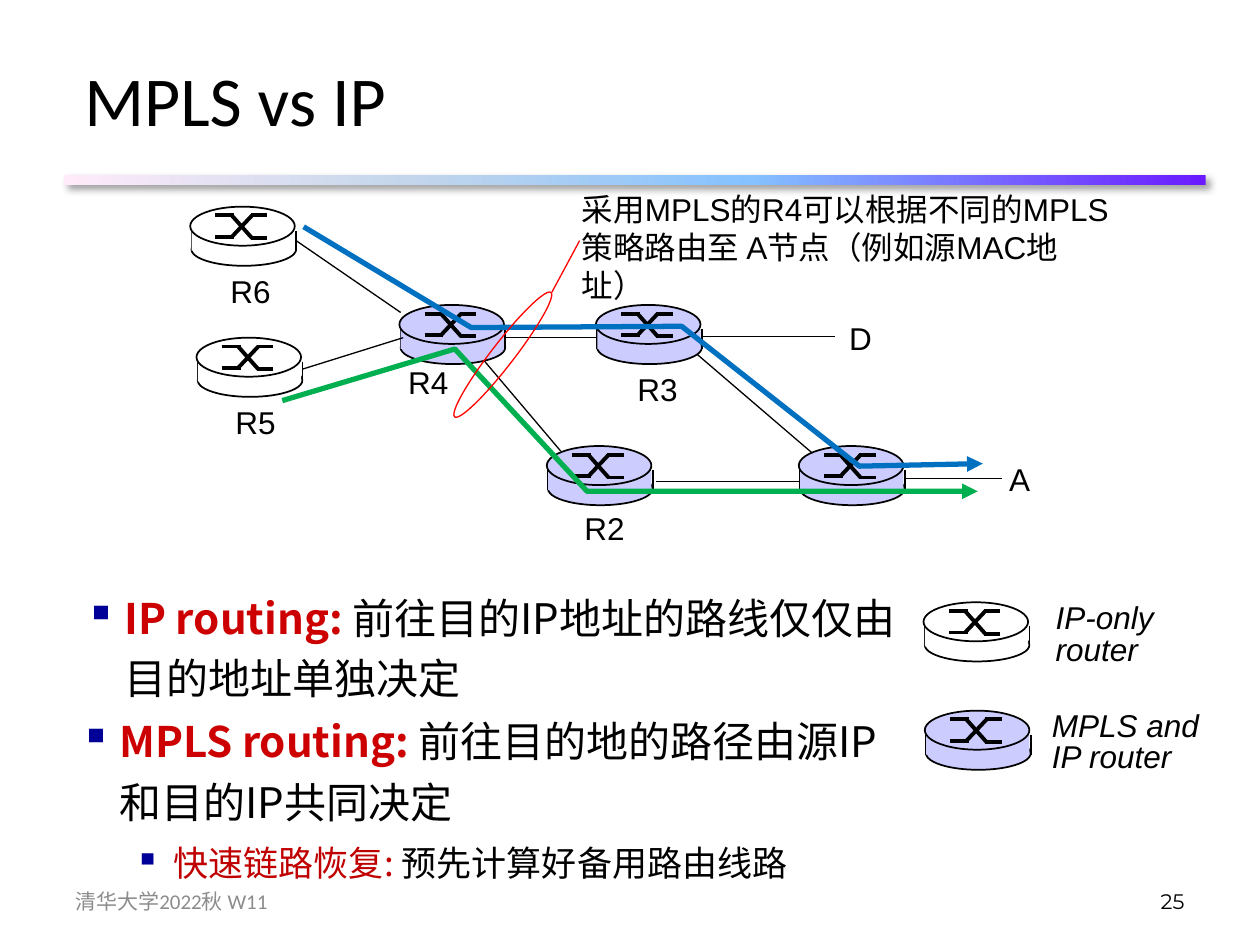
from dataclasses import dataclass

from lxml.etree import SubElement
from pptx import Presentation
from pptx.dml.color import RGBColor
from pptx.enum.shapes import MSO_CONNECTOR, MSO_SHAPE
from pptx.enum.text import MSO_ANCHOR, MSO_AUTO_SIZE, PP_ALIGN
from pptx.oxml import parse_xml
from pptx.oxml.ns import nsdecls, qn
from pptx.util import Inches, Pt


@dataclass(frozen=True)
class Theme:
    black: str = "000000"
    white: str = "FFFFFF"
    lavender: str = "CCCCFF"
    blue: str = "0070C0"
    green: str = "00B050"
    red: str = "FF0000"
    key: str = "CC0000"
    subkey: str = "C00000"
    bullet: str = "000099"
    grey: str = "8C8C8C"
    label_font: str = "Arial"
    body_font: str = "Noto Sans CJK SC"
    title_font: str = "Calibri"
    number_font: str = "Montserrat"
    title: int = 40
    body: int = 24
    sub: int = 20
    label: int = 18
    footer: int = 12


T = Theme()

# Content: routers by top-left corner, links, paths and labels (inches)
ROUTERS = [
    (6.34, 3.54, T.lavender), (4.34, 3.54, T.lavender),
    (4.73, 2.42, T.lavender), (3.17, 2.42, T.lavender),
    (1.51, 1.64, T.white), (1.56, 2.68, T.white),
    (7.33, 4.78, T.white), (7.34, 5.64, T.lavender),
]
LINKS = [
    (2.35, 1.91, 3.18, 2.48), (2.4, 2.93, 3.2, 2.68), (4.01, 2.68, 4.73, 2.68),
    (3.84, 2.86, 4.45, 3.58), (5.21, 3.82, 6.35, 3.82), (5.53, 2.81, 6.44, 3.59),
    (7.18, 3.8, 7.95, 3.8), (5.57, 2.67, 6.63, 2.67),
]
LABELS = [
    ("R2", 4.54, 3.99), ("D", 6.64, 2.48), ("R3", 4.96, 2.89), ("R4", 3.14, 2.83),
    ("R5", 1.77, 3.15), ("A", 7.91, 3.6), ("R6", 1.73, 2.11),
]
PATHS = [
    (T.blue, [(2.41, 1.8), (3.74, 2.6), (5.41, 2.59), (6.82, 3.7), (7.8, 3.68)]),
    (T.green, [(2.24, 3.18), (3.61, 2.77), (4.66, 3.9), (7.76, 3.9)]),
]
LEGEND = [
    (["IP-only", "router"], (8.28, 4.75, 0.99, 0.61)),
    (["MPLS and", "IP router"], (8.25, 5.6, 1.45, 0.61)),
]
# Bullets: (level, key phrase, explanation)
BULLETS = [
    ((0.58, 4.57, 6.78, 2.51),
     [(0, "IP routing: ", "前往目的IP地址的路线仅仅由目的地址单独决定")]),
    ((0.54, 5.55, 6.62, 1.69),
     [(0, "MPLS routing: ", "前往目的地的路径由源IP和目的IP共同决定"),
      (1, "快速链路恢复: ", "预先计算好备用路由线路")]),
]
CALLOUT = "采用MPLS的R4可以根据不同的MPLS策略路由至 A节点（例如源MAC地址）"
GRADIENT = [(0, "6B19FF"), (40, "85C2FF"), (70, "C4D6EB"), (100, "FFEBFA")]

presentation = Presentation()
presentation.slide_width, presentation.slide_height = Inches(10), Inches(7.5)
slide = presentation.slides.add_slide(presentation.slide_layouts[5])


# Drawing helpers
def box(at):
    return [Inches(value) for value in at]


def draw_shape(shapes, kind, at, fill=None, line=None, width=1):
    shape = shapes.add_shape(kind, *box(at))
    style_shape(shape, fill, line, width)
    return shape


def style_shape(shape, fill, line, width):
    shape.shadow.inherit = False
    for part, color in ((shape.fill, fill), (shape.line.fill, line)):
        if color:
            part.solid()
            part.fore_color.rgb = RGBColor.from_string(color)
        else:
            part.background()
    if line:
        shape.line.width = Pt(width)


def draw_line(shapes, ends, color=T.black, width=0.75):
    connector = shapes.add_connector(MSO_CONNECTOR.STRAIGHT, *box(ends))
    connector.line.color.rgb = RGBColor.from_string(color)
    connector.line.width = Pt(width)
    SubElement(connector._element.spPr, qn("a:effectLst"))


def write(frame, paragraphs, font=T.label_font, size=T.label, color=T.black, italic=None,
          wrap=True, grow=False, anchor=MSO_ANCHOR.TOP, align=PP_ALIGN.LEFT, spacing=None):
    """Each paragraph is a string or a list of (text, format) runs."""
    frame.word_wrap = wrap
    frame.vertical_anchor = anchor
    frame.auto_size = MSO_AUTO_SIZE.SHAPE_TO_FIT_TEXT if grow else MSO_AUTO_SIZE.NONE
    for index, runs in enumerate(paragraphs):
        paragraph = frame.add_paragraph() if index else frame.paragraphs[0]
        paragraph.alignment = align
        paragraph.line_spacing = spacing
        for text, own in [(runs, {})] if isinstance(runs, str) else runs:
            run = paragraph.add_run()
            run.text = text
            run.font.size = Pt(own.get("size", size))
            run.font.bold = own.get("bold")
            run.font.italic = italic
            run.font.color.rgb = RGBColor.from_string(own.get("color", color))
            run.font.name = font
            SubElement(run.font._element, qn("a:ea"), typeface=T.body_font)


def add_text(at, paragraphs, **style):
    frame = slide.shapes.add_textbox(*box(at)).text_frame
    write(frame, paragraphs, **style)
    return frame


def add_bullet(paragraph, level):
    paragraph.level = level
    paragraph.space_before = Pt(4.8 if level == 0 else 4)
    properties = paragraph._p.get_or_add_pPr()
    properties.set("marL", str(Inches(0.74 if level else 0.31)))
    properties.set("indent", str(-Inches(0.31)))
    color = SubElement(properties, qn("a:buClr"))
    SubElement(color, qn("a:srgbClr"), val=T.bullet)
    SubElement(properties, qn("a:buChar"), char="▪")


def draw_router(x, y, fill):
    shapes = slide.shapes.add_group_shape().shapes
    draw_shape(shapes, MSO_SHAPE.OVAL, (x + 0.01, y + 0.21, 0.83, 0.26), fill, T.black)
    for side in (x + 0.01, x + 0.84):
        draw_line(shapes, (side, y + 0.19, side, y + 0.35), width=1)
    draw_shape(shapes, MSO_SHAPE.RECTANGLE, (x + 0.01, y + 0.19, 0.82, 0.16), fill)
    draw_shape(shapes, MSO_SHAPE.OVAL, (x, y, 0.83, 0.31), fill, T.black)
    # Two mirrored strokes form the crossing symbol
    for start, end in ((0.07, 0.25), (0.24, 0.07)):
        for left, top, right, bottom in ((0.2, start, 0.35, start), (0.48, end, 0.61, end),
                                         (0.33, start, 0.49, end)):
            draw_line(shapes, (x + left, y + top, x + right, y + bottom), width=2.25)


def draw_path(color, points):
    start, *rest = [tuple(box(point)) for point in points]
    builder = slide.shapes.build_freeform(*start)
    builder.add_line_segments(rest, close=False)
    shape = builder.convert_to_shape()
    style_shape(shape, None, color, 3)
    SubElement(shape.line._get_or_add_ln(), qn("a:tailEnd"), type="triangle")


# Title and gradient rule
rule = draw_shape(slide.shapes, MSO_SHAPE.RECTANGLE, (0.51, 1.39, 9.06, 0.08), T.blue)
stops = "".join(f'<a:gs pos="{place * 1000}"><a:srgbClr val="{color}"/></a:gs>'
                for place, color in GRADIENT)
properties = rule._element.spPr
properties.replace(properties.find(qn("a:solidFill")), parse_xml(
    f'<a:gradFill {nsdecls("a")}><a:gsLst>{stops}</a:gsLst><a:lin ang="10800000"/></a:gradFill>'))
properties.find(qn("a:effectLst")).append(parse_xml(
    f'<a:outerShdw {nsdecls("a")} blurRad="{Pt(4)}" dist="{Pt(3)}" dir="2700000">'
    '<a:srgbClr val="000000"><a:alpha val="40000"/></a:srgbClr></a:outerShdw>'))
title = slide.shapes.title
title.left, title.top, title.width, title.height = box((0.57, 0.16, 8.5, 1.25))
write(title.text_frame, ["MPLS vs IP"], font=T.title_font, size=T.title,
      anchor=MSO_ANCHOR.MIDDLE)

# Network and legend
for router in ROUTERS:
    draw_router(*router)
for link in LINKS:
    draw_line(slide.shapes, link)
for name, left, top in LABELS:
    add_text((left, top, 0.52 if len(name) > 1 else 0.38, 0.4), [name], wrap=False, grow=True)
for path_color, corners in PATHS:
    draw_path(path_color, corners)
for lines, at in LEGEND:
    add_text(at, lines, italic=True, wrap=False, grow=True, spacing=Pt(18))

# Bullets
for at, items in BULLETS:
    runs = [[(key, {"size": T.sub, "color": T.subkey} if level else
              {"color": T.key, "bold": True}),
             (text, {"size": T.sub if level else T.body})] for level, key, text in items]
    frame = add_text(at, runs, font=T.body_font, size=T.body, spacing=1.2)
    for paragraph, (level, _, _) in zip(frame.paragraphs, items):
        add_bullet(paragraph, level)

# Callout
ring = draw_shape(slide.shapes, MSO_SHAPE.OVAL, (3.9, 2.19, 0.18, 1.25), None, T.red, 0.75)
ring.rotation = 37.7
draw_line(slide.shapes, (4.38, 2.32, 4.6, 1.91), T.red)
add_text((4.52, 1.46, 4.47, 0.71), [CALLOUT], grow=True)

# Footer
add_text((0.5, 6.95, 2.33, 0.4), ["清华大学2022秋 W11"], font=T.title_font, size=T.footer,
         color=T.grey, anchor=MSO_ANCHOR.MIDDLE)
add_text((7.17, 6.95, 2.33, 0.4), ["25"], font=T.number_font, size=T.footer,
         anchor=MSO_ANCHOR.MIDDLE, align=PP_ALIGN.RIGHT)

presentation.save("out.pptx")
